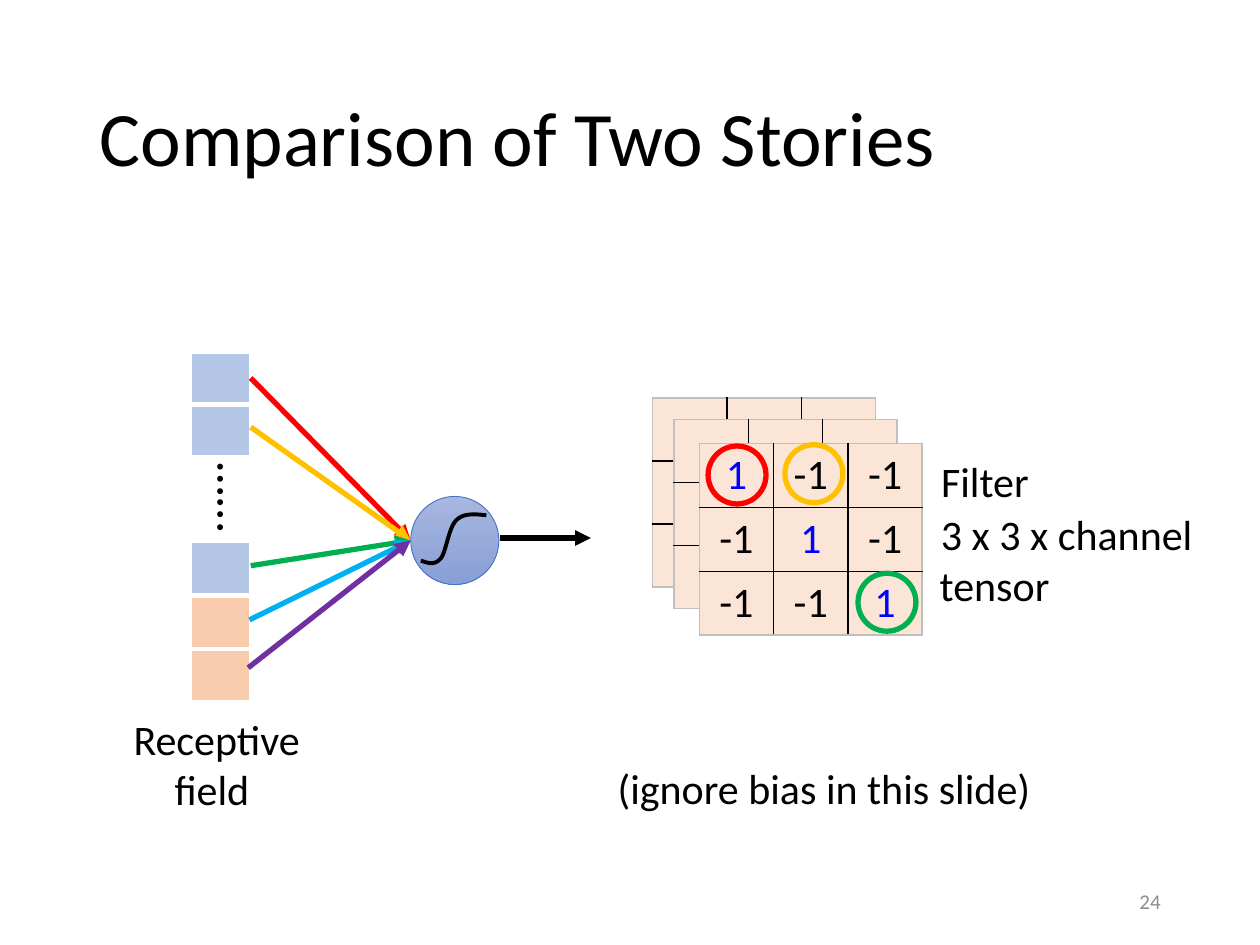
from lxml.etree import SubElement
from pptx import Presentation
from pptx.dml.color import RGBColor
from pptx.enum.shapes import MSO_CONNECTOR, MSO_SHAPE
from pptx.enum.text import MSO_ANCHOR, PP_ALIGN
from pptx.oxml.ns import qn
from pptx.util import Inches, Pt


def rgb(color):
    return RGBColor.from_string(color)


def add_grid(left, top, col_width, row_height, rows, fill, inner, outer):
    """Add a table; inner and outer are (colour, points) of its borders."""
    n_rows, n_cols = len(rows), len(rows[0])
    grid = slide.shapes.add_table(
        n_rows, n_cols, Inches(left), Inches(top),
        Inches(col_width * n_cols), Inches(row_height * n_rows)).table
    grid.first_row = grid.horz_banding = False
    for r, row in enumerate(rows):
        for c, value in enumerate(row):
            cell = grid.cell(r, c)
            at_edge = {"L": c == 0, "R": c == n_cols - 1,
                       "T": r == 0, "B": r == n_rows - 1}
            properties = cell._tc.get_or_add_tcPr()
            for side, is_outer in at_edge.items():
                color, width = outer if is_outer else inner
                border = SubElement(properties, qn(f"a:ln{side}"), w=str(Pt(width)))
                SubElement(SubElement(border, qn("a:solidFill")),
                           qn("a:srgbClr"), val=color)
            cell.fill.solid()
            cell.fill.fore_color.rgb = rgb(fill)
            if value:
                cell.text = value
                entry = cell.text_frame.paragraphs[0]
                entry.alignment = PP_ALIGN.CENTER
                entry.font.size = Pt(24)
                entry.font.name = "Calibri"
                entry.font.color.rgb = rgb("0000FF" if value == "1" else "000000")


presentation = Presentation()
presentation.slide_width, presentation.slide_height = Inches(10), Inches(7.5)
slide = presentation.slides.add_slide(presentation.slide_layouts[5])

# Title
title = slide.shapes.title
title.left, title.top = Inches(0.69), Inches(0.4)
title.width, title.height = Inches(8.62), Inches(1.45)
title.text = "Comparison of Two Stories"
title.text_frame.vertical_anchor = MSO_ANCHOR.MIDDLE
heading = title.text_frame.paragraphs[0]
heading.alignment = PP_ALIGN.LEFT
heading.line_spacing = 0.9
heading.font.size = Pt(44)
heading.font.name = "Calibri"
heading.font.color.rgb = rgb("000000")

# Receptive field inputs
for top, count, fill in [(2.8, 2, "B4C7E7"), (4.3, 1, "B4C7E7"), (4.74, 2, "F8CBAD")]:
    add_grid(1.52, top, 0.46, 0.41, [[""]] * count, fill,
             inner=("FFFFFF", 3), outer=("FFFFFF", 1))

# Neuron with its sigmoid curve
neuron = slide.shapes.add_group_shape()
body = neuron.shapes.add_shape(
    MSO_SHAPE.OVAL, Inches(3.26), Inches(3.94), Inches(0.7), Inches(0.7))
body.shadow.inherit = False
body.fill.gradient()
body.fill.gradient_angle = 270
for stop, color in zip(body.fill.gradient_stops, ["A8B7DF", "889ED7"]):
    stop.color.rgb = rgb(color)
body.line.color.rgb = rgb("4472C4")
body.line.width = Pt(0.5)

bends = [
    [(3.86, 4.09), (3.77, 4.08), (3.68, 4.07), (3.62, 4.13)],
    [(3.62, 4.13), (3.56, 4.19), (3.54, 4.38), (3.5, 4.43)],
    [(3.5, 4.43), (3.45, 4.49), (3.4, 4.47), (3.34, 4.45)],
]
steps = 12
curve_points = []
for bend in bends:
    for step in range(1, steps + 1):
        t = step / steps
        weights = [(1 - t) ** 3, 3 * t * (1 - t) ** 2, 3 * t ** 2 * (1 - t), t ** 3]
        curve_points.append(tuple(
            Inches(sum(w * p[axis] for w, p in zip(weights, bend))) for axis in (0, 1)))
builder = neuron.shapes.build_freeform(Inches(3.86), Inches(4.09))
builder.add_line_segments(curve_points, close=False)
sigmoid = builder.convert_to_shape()
sigmoid.shadow.inherit = False
sigmoid.fill.background()
sigmoid.line.color.rgb = rgb("000000")
sigmoid.line.width = Pt(2.25)

# Output arrow and weighted inputs
neuron_input = (3.26, 4.29)
arrows = [
    ((3.97, 4.27), (4.69, 4.27), "000000"),
    ((1.99, 3), neuron_input, "FF0000"),
    ((1.99, 3.39), neuron_input, "FFC000"),
    ((1.99, 4.49), neuron_input, "00B050"),
    ((1.98, 4.92), neuron_input, "00B0F0"),
    ((1.97, 5.3), neuron_input, "7030A0"),
]
for start, end, color in arrows:
    arrow = slide.shapes.add_connector(
        MSO_CONNECTOR.STRAIGHT, *map(Inches, start + end))
    arrow.line.color.rgb = rgb(color)
    arrow.line.width = Pt(3)
    SubElement(arrow.line._get_or_add_ln(), qn("a:tailEnd"), type="triangle")
    SubElement(arrow._element.spPr, qn("a:effectLst"))

# Filter tensor: two blank channels behind the front one
blank = [[""] * 3] * 3
weights_front = [["1", "-1", "-1"], ["-1", "1", "-1"], ["-1", "-1", "1"]]
for left, top, values in [(5.18, 3.16, blank), (5.35, 3.33, blank),
                          (5.55, 3.52, weights_front)]:
    add_grid(left, top, 0.59, 0.5, values, "FBE5D6",
             inner=("000000", 1), outer=("BFBFBF", 1))

# Rings matching weights to arrows
for left, top, color in [(5.62, 3.54, "FF0000"), (6.23, 3.53, "FFC000"),
                         (6.81, 4.55, "00B050")]:
    ring = slide.shapes.add_shape(
        MSO_SHAPE.OVAL, Inches(left), Inches(top), Inches(0.46), Inches(0.46))
    ring.shadow.inherit = False
    ring.fill.background()
    ring.line.color.rgb = rgb(color)
    ring.line.width = Pt(3)

# Labels, ellipsis and slide number
labels = [
    ("Filter", 7.37, 3.57, 1.58, 0.5, 24, "000000", PP_ALIGN.LEFT, 0),
    ("3 x 3 x channel", 7.37, 3.99, 2.34, 0.5, 24, "000000", PP_ALIGN.LEFT, 0),
    ("tensor", 7.36, 4.39, 1.34, 0.5, 24, "000000", PP_ALIGN.LEFT, 0),
    ("…...", 1.47, 3.7, 0.82, 0.57, 28, "000000", PP_ALIGN.LEFT, 90),
    ("Receptive field ", 0.95, 5.61, 1.54, 0.91, 24, "000000", PP_ALIGN.CENTER, 0),
    ("(ignore bias in this slide)", 3.75, 6, 5.58, 0.5, 24, "000000", PP_ALIGN.CENTER, 0),
    ("24", 7.06, 6.95, 2.25, 0.4, 12, "8C8C8C", PP_ALIGN.RIGHT, 0),
]
for text, left, top, width, height, size, color, alignment, rotation in labels:
    label = slide.shapes.add_textbox(
        Inches(left), Inches(top), Inches(width), Inches(height))
    label.rotation = rotation
    label.text_frame.word_wrap = True
    label.text_frame.vertical_anchor = MSO_ANCHOR.MIDDLE if size == 12 else MSO_ANCHOR.TOP
    paragraph = label.text_frame.paragraphs[0]
    paragraph.text = text
    paragraph.alignment = alignment
    paragraph.font.size = Pt(size)
    paragraph.font.name = "Calibri"
    paragraph.font.color.rgb = rgb(color)

presentation.save("out.pptx")
